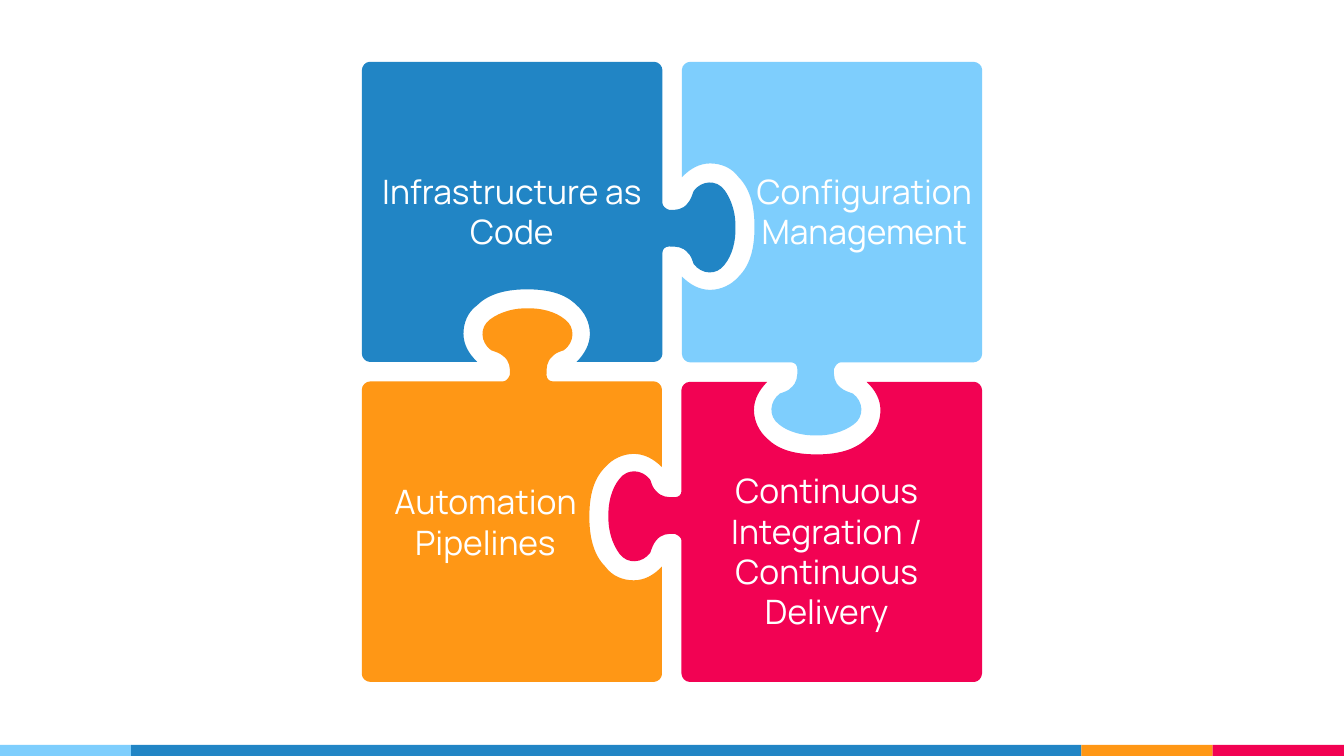
from lxml import etree
from pptx import Presentation
from pptx.dml.color import RGBColor
from pptx.enum.shapes import MSO_SHAPE
from pptx.enum.text import MSO_ANCHOR, MSO_AUTO_SIZE, PP_ALIGN
from pptx.oxml.ns import qn
from pptx.util import Cm, Pt

RECTANGLE = MSO_SHAPE.RECTANGLE
TOP = MSO_ANCHOR.TOP
FIT_SHAPE = MSO_AUTO_SIZE.SHAPE_TO_FIT_TEXT
CENTER = PP_ALIGN.CENTER

BLUE = RGBColor(0x21, 0x85, 0xC5)
SKY = RGBColor(0x7E, 0xCE, 0xFD)
ORANGE = RGBColor(0xFF, 0x97, 0x15)
RED = RGBColor(0xF2, 0x02, 0x53)
WHITE = RGBColor(0xFF, 0xFF, 0xFF)

SLIDE_WIDTH, SLIDE_HEIGHT = 25.4, 14.29
CENTER_X, CENTER_Y = 12.7, 7.03

PIECE_START = (-3.68, -0.19)
PIECE_SEGMENTS = [
    [(-3.84, -0.34), (-3.94, -0.52), (-3.94, -0.72)],
    [(-3.94, -0.93), (-3.86, -1.13), (-3.68, -1.26)],
    [(-3.45, -1.49), (-3.10, -1.56), (-2.74, -1.56)],
    [(-2.36, -1.56), (-2.03, -1.49), (-1.80, -1.26)],
    [(-1.65, -1.13), (-1.55, -0.93), (-1.55, -0.72)],
    [(-1.55, -0.52), (-1.65, -0.34), (-1.80, -0.19)],
    [(-0.33, -0.19)],
    [(-0.25, -0.19), (-0.18, -0.27), (-0.18, -0.34)],
    [(-0.18, -2.25)],
    [(-0.18, -2.32), (-0.13, -2.37), (-0.05, -2.37)],
    [(0.08, -2.37), (0.20, -2.37), (0.30, -2.25)],
    [(0.36, -2.20), (0.38, -2.12), (0.41, -2.04)],
    [(0.56, -1.84), (0.84, -1.82), (0.99, -2.02)],
    [(1.14, -2.20), (1.21, -2.48), (1.20, -2.73)],
    [(1.21, -2.96), (1.14, -3.24), (0.99, -3.44)],
    [(0.84, -3.64), (0.56, -3.62), (0.41, -3.42)],
    [(0.38, -3.34), (0.36, -3.26), (0.30, -3.19)],
    [(0.20, -3.06), (0.08, -3.06), (-0.05, -3.06)],
    [(-0.13, -3.09), (-0.18, -3.14), (-0.18, -3.19)],
    [(-0.18, -5.70)],
    [(-0.18, -5.78), (-0.25, -5.86), (-0.33, -5.86)],
    [(-5.72, -5.86)],
    [(-5.79, -5.86), (-5.86, -5.78), (-5.86, -5.70)],
    [(-5.86, -0.34)],
    [(-5.86, -0.27), (-5.79, -0.19), (-5.72, -0.19)],
]


def paint(shape, color):
    shape.fill.solid()
    shape.fill.fore_color.rgb = color
    shape.line.fill.background()
    shape.shadow.inherit = False


def bend_segments(piece, segments):
    steps = piece._element.findall(".//" + qn("a:lnTo"))
    for segment in segments:
        group, steps = steps[:len(segment)], steps[len(segment):]
        if len(group) == 3:
            curve = etree.Element(qn("a:cubicBezTo"))
            group[0].addprevious(curve)
            for step in group:
                curve.append(step[0])
                step.getparent().remove(step)


prs = Presentation()
prs.slide_width, prs.slide_height = Cm(SLIDE_WIDTH), Cm(SLIDE_HEIGHT)
slide = prs.slides.add_slide(prs.slide_layouts[6])
shapes = slide.shapes

stripe_height = 0.21
stripe_left = 0
for color, width in [(SKY, 2.48), (BLUE, 17.96), (ORANGE, 2.48), (RED, 2.48)]:
    stripe = shapes.add_shape(RECTANGLE, Cm(stripe_left), Cm(SLIDE_HEIGHT - stripe_height),
                              Cm(width), Cm(stripe_height))
    paint(stripe, color)
    stripe_left += width

outline = [PIECE_START] + [point for segment in PIECE_SEGMENTS for point in segment]
for color in (BLUE, SKY, RED, ORANGE):
    corners = [(Cm(CENTER_X + x), Cm(CENTER_Y + y)) for x, y in outline]
    builder = shapes.build_freeform(*corners[0])
    builder.add_line_segments(corners[1:], close=True)
    piece = builder.convert_to_shape()
    bend_segments(piece, PIECE_SEGMENTS)
    paint(piece, color)
    outline = [(-y, x) for x, y in outline]

labels = [
    ("Infrastructure as Code", 6.88, 3.1, 5.59, 1.8),
    ("Configuration\nManagement", 13.92, 3.1, 4.83, 1.8),
    ("Continuous Integration / Continuous Delivery", 12.83, 8.76, 5.59, 3.35),
    ("Automation\nPipelines", 6.38, 8.97, 5.59, 1.8),
]
for text, left, top, width, height in labels:
    frame = shapes.add_textbox(Cm(left), Cm(top), Cm(width), Cm(height)).text_frame
    frame.word_wrap = True
    frame.auto_size = FIT_SHAPE
    frame.vertical_anchor = TOP
    frame.margin_left = frame.margin_right = Cm(0.13)
    frame.margin_top = frame.margin_bottom = Cm(0.13)
    frame.text = text
    for paragraph in frame.paragraphs:
        paragraph.alignment = CENTER
        paragraph.font.name = "Manrope"
        paragraph.font.size = Pt(18)
        paragraph.font.color.rgb = WHITE

prs.save("out.pptx")
